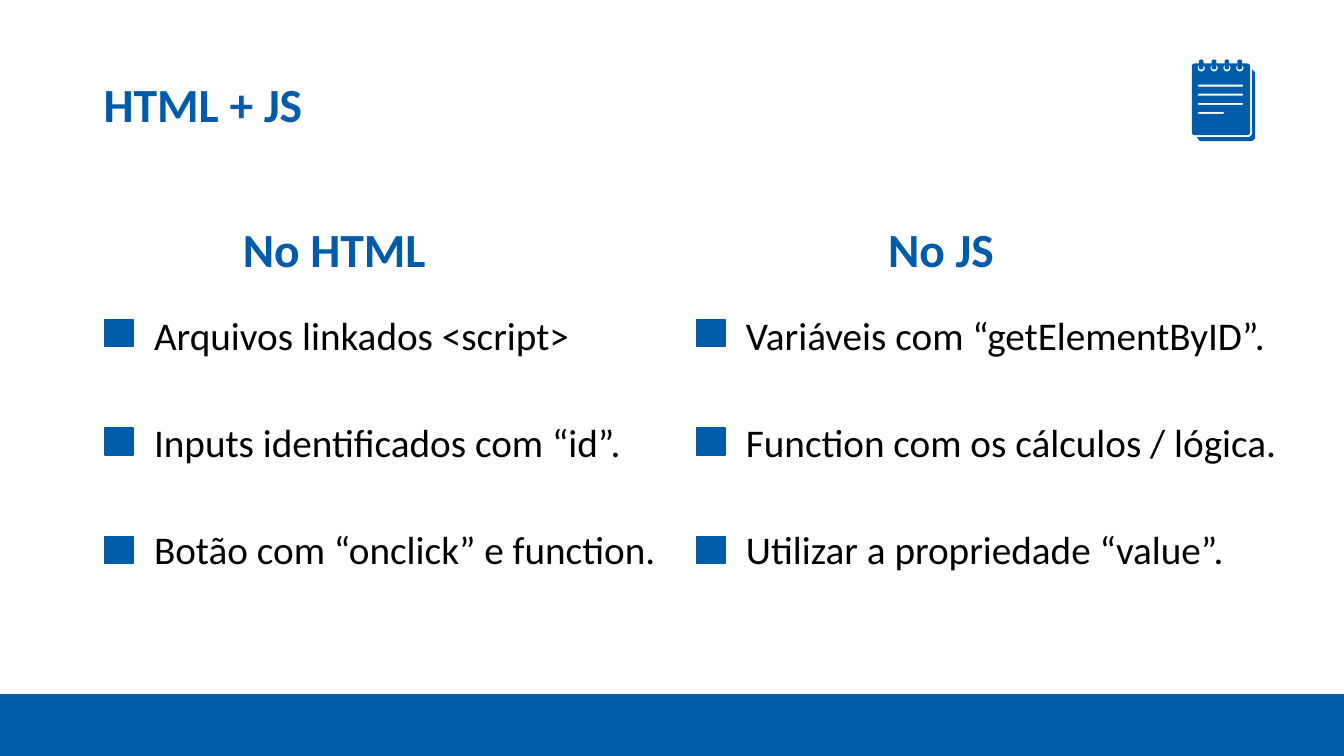
from math import cos, pi, sin

from pptx import Presentation
from pptx.dml.color import RGBColor
from pptx.enum.shapes import MSO_SHAPE
from pptx.enum.text import MSO_ANCHOR
from pptx.util import Inches, Pt

BLUE, BLACK = "005CAA", "000000"
COLS, ROWS = 80, 45  # square cells over the whole slide


def color(code):
    return RGBColor.from_string(code)


def rounded(x, y, w, h, r):
    """Outline points of a rounded box, clockwise from the bottom right."""
    hubs = [(x + w - r, y + h - r), (x + r, y + h - r),
            (x + r, y + r), (x + w - r, y + r)]
    return [(cx + r * cos(a), cy + r * sin(a))
            for i, (cx, cy) in enumerate(hubs)
            for a in [(i + step / 4) * pi / 2 for step in range(5)]]


class Deck:
    font = "Calibri"

    def __init__(self):
        self.file = Presentation()
        self.file.slide_width = Inches(13.33)
        self.file.slide_height = Inches(7.5)
        self.cell = self.file.slide_height / ROWS
        self.slide = self.file.slides.add_slide(self.file.slide_layouts[6])

    def place(self, *cells):
        return [round(c * self.cell) for c in cells]

    def paint(self, shape, fill):
        shape.shadow.inherit = False
        shape.fill.solid()
        shape.fill.fore_color.rgb = color(fill)

    def block(self, x, y, w, h, fill=BLUE):
        shape = self.slide.shapes.add_shape(
            MSO_SHAPE.RECTANGLE, *self.place(x, y, w, h))
        self.paint(shape, fill)
        shape.line.color.rgb = color(fill)
        shape.line.width = Pt(1)

    def text(self, lines, x, y, w, h, size, ink, bold=False, gap=0,
             pad=0.05, anchor=MSO_ANCHOR.TOP):
        frame = self.slide.shapes.add_textbox(
            *self.place(x, y, w, h)).text_frame
        frame.word_wrap = True
        frame.vertical_anchor = anchor
        frame.margin_left = frame.margin_right = Inches(0.1)
        frame.margin_top = frame.margin_bottom = Inches(pad)
        for i, line in enumerate(lines):
            para = frame.paragraphs[0] if i == 0 else frame.add_paragraph()
            para.text = line
            para.space_before = Pt(gap if i else 0)
            font = para.font
            font.name, font.size, font.bold = self.font, Pt(size), bold
            font.color.rgb = color(ink)

    def outline(self, group, *rings, fill=BLUE):
        """Draw one filled shape; rings inside the last one are holes."""
        unit = 100
        rings = [[(px * unit, py * unit) for px, py in ring] for ring in rings]
        pen = group.shapes.build_freeform(*rings[0][0], scale=self.cell / unit)
        pen.add_line_segments(rings[0][1:])
        for ring in rings[1:]:
            pen.move_to(*ring[0])
            pen.add_line_segments(ring[1:])
        shape = pen.convert_to_shape()
        self.paint(shape, fill)
        shape.line.fill.background()

    def notepad(self):
        group = self.slide.shapes.add_group_shape()
        step = 0.765
        # Back sheet
        self.outline(group, [
            (74.52, 4.14), (74.52, 7.98), (74.34, 8.16), (71.22, 8.16),
            (71.4, 8.4), (74.52, 8.4), (74.7, 8.22), (74.7, 4.32)])
        # Binding rings
        for i in range(4):
            self.outline(group, rounded(71.34 + i * step, 3.54, 0.28, 0.6, 0.13))
        # Front sheet with punched holes and ruled lines
        holes = [rounded(71.27 + i * step, 3.83, 0.43, 0.43, 0.215)
                 for i in range(4)]
        rules = [rounded(71.28, 5.04 + i * 0.54, w, 0.12, 0.06)
                 for i, w in enumerate([2.7, 2.7, 2.7, 1.56])]
        self.outline(group, *holes, *rules,
                     rounded(70.92, 3.78, 3.48, 4.26, 0.18))


def main():
    deck = Deck()

    # Footer, title and icon
    deck.block(0, 41.35, COLS, 3.65)
    deck.text(["HTML + JS"], 5.58, 4.14, 59.34, 4, 34, BLUE, bold=True)
    deck.notepad()

    # Two columns: heading place, heading, points
    parts = [
        (13.86, "No HTML", ["Arquivos linkados <script>",
                            "Inputs identificados com “id”.",
                            "Botão com “onclick” e function."]),
        (52.26, "No JS", ["Variáveis com “getElementByID”.",
                          "Function com os cálculos / lógica.",
                          "Utilizar a propriedade “value”."]),
    ]
    for i, (head, title, points) in enumerate(parts):
        left = 6.24 + i * 35.22
        deck.text([title], head, 12.78, 20, 4, 34, BLUE, bold=True)
        deck.text(points, left + 2.34, 16.74, 36, 17.94, 28, BLACK,
                  gap=43, pad=0.1, anchor=MSO_ANCHOR.BOTTOM)
        for row in range(len(points)):
            deck.block(left, 19.02 + row * 6.45, 1.68, 1.62)

    deck.file.save("out.pptx")


if __name__ == "__main__":
    main()
